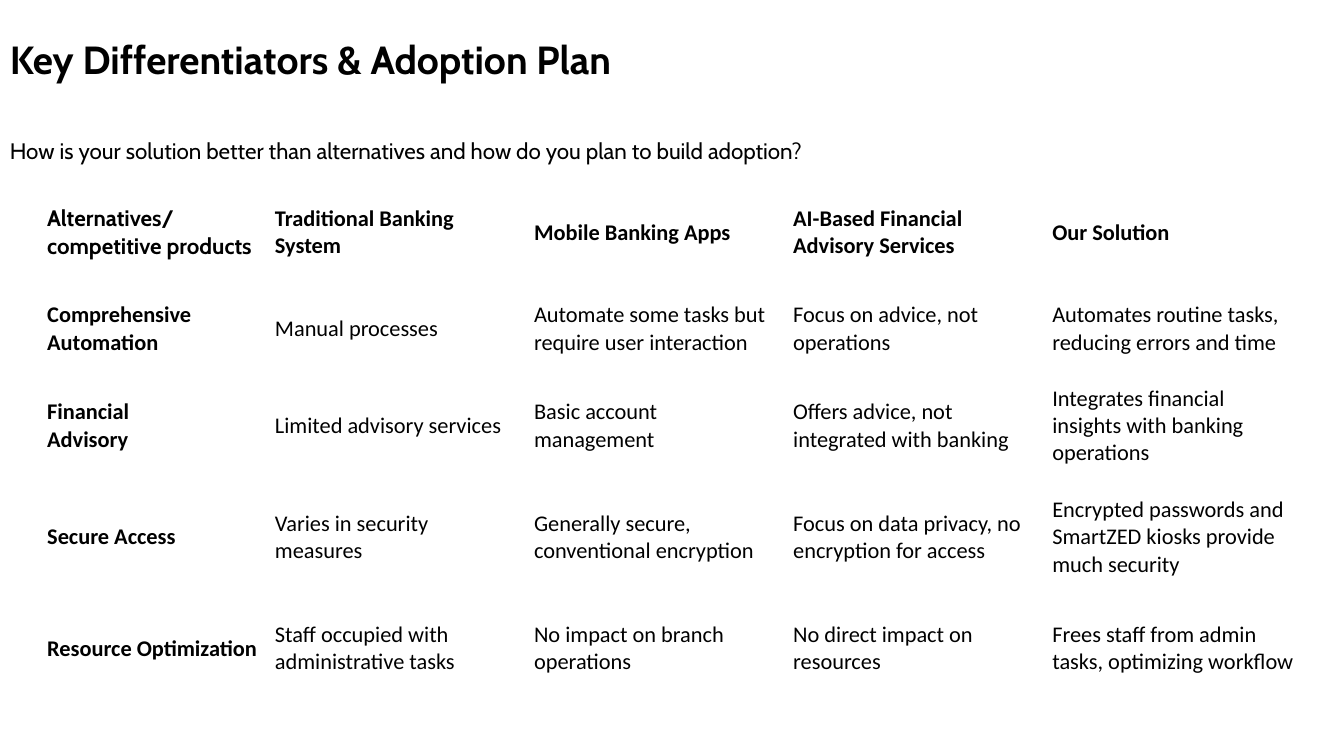
import dataclasses

import pptx
import pptx.dml.color
import pptx.enum.text
import pptx.util

Cm = pptx.util.Cm
Anchor = pptx.enum.text.MSO_ANCHOR


@dataclasses.dataclass(frozen=True)
class Theme:
    ink: str = "000000"
    paper: str = "FFFFFF"
    head: str = "Cabin"
    body: str = "Calibri"
    large: int = 28
    small: int = 16


theme = Theme()


def write(frame, text, font, size, bold=False):
    """Fill a text frame, one paragraph for each line of text."""
    frame.word_wrap = True
    for i, line in enumerate(text.split("\n")):
        para = frame.paragraphs[0] if i == 0 else frame.add_paragraph()
        para.alignment = pptx.enum.text.PP_ALIGN.LEFT
        run = para.add_run()
        run.text = line
        run.font.name = font
        run.font.size = pptx.util.Pt(size)
        run.font.bold = bold
        run.font.color.rgb = pptx.dml.color.RGBColor.from_string(theme.ink)


def inset(frame, side, edge):
    frame.margin_left = frame.margin_right = Cm(side)
    frame.margin_top = frame.margin_bottom = Cm(edge)


deck = pptx.Presentation()
deck.slide_width, deck.slide_height = Cm(33.87), Cm(19.05)
slide = deck.slides.add_slide(deck.slide_layouts[5])

# Title and question
title = slide.shapes.title
title.left, title.top, title.width, title.height = Cm(0), Cm(0.64), Cm(24.38), Cm(1.6)
ask = slide.shapes.add_textbox(Cm(0), Cm(3.2), Cm(32.9), Cm(6.32))
for box in (title, ask):
    frame = box.text_frame
    frame.auto_size = pptx.enum.text.MSO_AUTO_SIZE.NONE
    frame.vertical_anchor = Anchor.TOP
    inset(frame, 0.25, 0.25)
write(title.text_frame, "Key Differentiators & Adoption Plan", theme.head, theme.large, True)
write(
    ask.text_frame,
    "How is your solution better than alternatives and how do you plan to build adoption?",
    theme.head,
    theme.small,
)

# Comparison table
rows = [
    ("Alternatives/\ncompetitive products", "Traditional Banking System", "Mobile Banking Apps",
     "AI-Based Financial Advisory Services", "Our Solution"),
    ("Comprehensive Automation", "Manual processes",
     "Automate some tasks but require user interaction",
     "Focus on advice, not operations", "Automates routine tasks, reducing errors and time"),
    ("Financial\nAdvisory", "Limited advisory services", "Basic account management",
     "Offers advice, not integrated with banking",
     "Integrates financial insights with banking operations"),
    ("Secure Access", "Varies in security measures", "Generally secure, conventional encryption",
     "Focus on data privacy, no encryption for access",
     "Encrypted passwords and SmartZED kiosks provide much security"),
    ("Resource Optimization", "Staff occupied with administrative tasks",
     "No impact on branch operations", "No direct impact on resources",
     "Frees staff from admin tasks, optimizing workflow"),
]
wide = [5.74] + [6.53] * 4
high = [2.42, 2.44, 2.44, 3.17, 2.44]

grid = slide.shapes.add_table(
    len(rows), len(wide), Cm(0.99), Cm(4.65), Cm(sum(wide)), Cm(sum(high))
).table
grid.first_row = grid.horz_banding = False
for col, width in zip(grid.columns, wide):
    col.width = Cm(width)
for r, (row, height) in enumerate(zip(rows, high)):
    grid.rows[r].height = Cm(height)
    for c, text in enumerate(row):
        cell = grid.cell(r, c)
        cell.fill.solid()
        cell.fill.fore_color.rgb = pptx.dml.color.RGBColor.from_string(theme.paper)
        cell.vertical_anchor = Anchor.MIDDLE
        inset(cell, 0.2, 0.1)
        font = theme.head if r == c == 0 else theme.body
        write(cell.text_frame, text, font, theme.small, r == 0 or c == 0)

deck.save("out.pptx")
